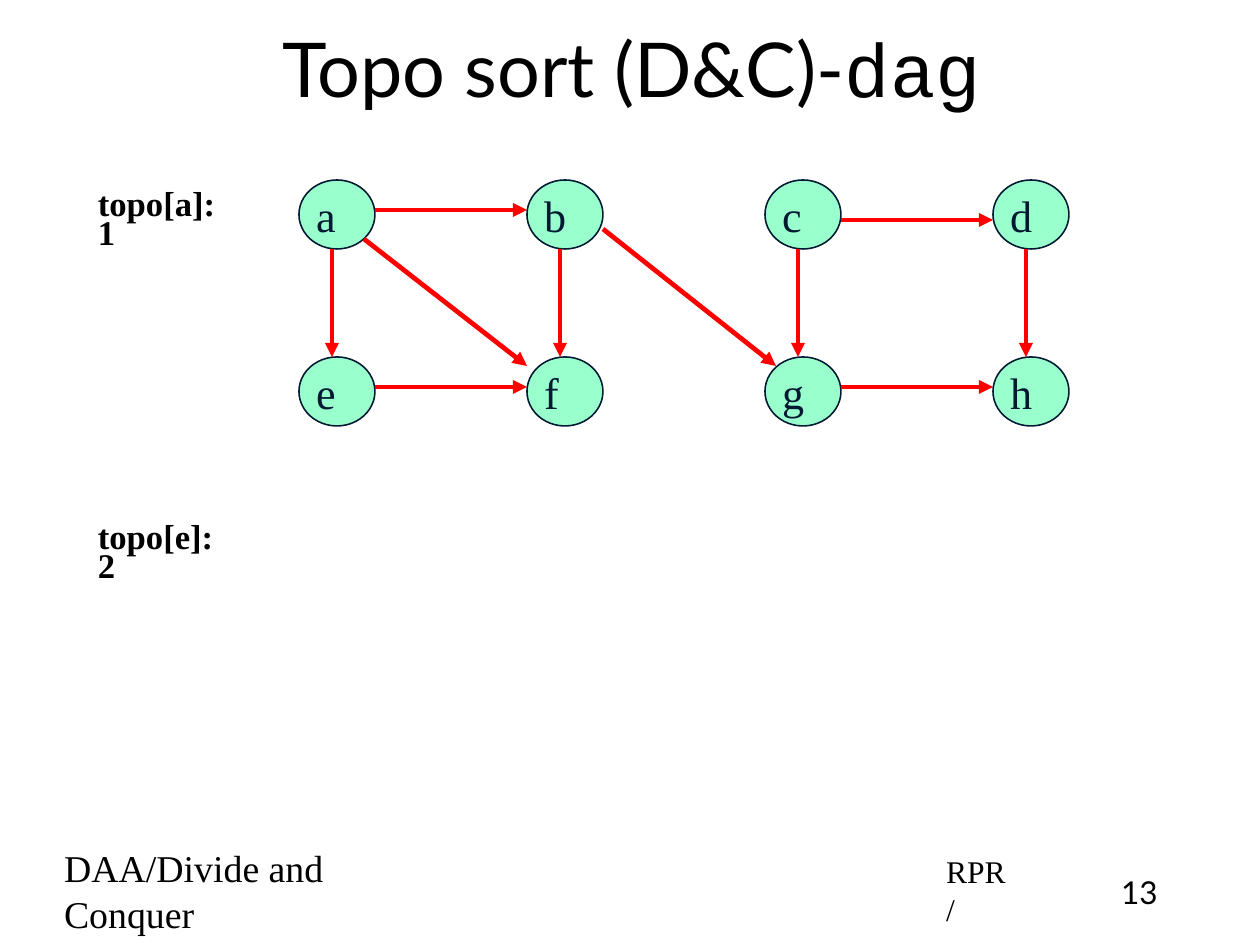
from pptx import Presentation
from pptx.dml.color import RGBColor
from pptx.enum.shapes import MSO_CONNECTOR, MSO_SHAPE
from pptx.enum.text import MSO_ANCHOR, PP_ALIGN
from pptx.oxml.ns import qn
from pptx.util import Pt
from lxml import etree

SCALE = 914400 / 113.4
BLACK = RGBColor(0x00, 0x00, 0x00)
NAVY = RGBColor(0x00, 0x19, 0x32)
MINT = RGBColor(0x99, 0xFF, 0xCC)
RED = RGBColor(0xFF, 0x00, 0x00)
SERIF = "Times New Roman"


def px(*lengths):
    return [round(length * SCALE) for length in lengths]


def set_text(shape, text, font, size, color=BLACK, inset=7, indent=0,
             anchor=MSO_ANCHOR.MIDDLE, align=PP_ALIGN.LEFT):
    frame = shape.text_frame
    frame.text = text
    frame.word_wrap = True
    frame.vertical_anchor = anchor
    frame.margin_left, frame.margin_top, frame.margin_right, frame.margin_bottom = px(*[inset] * 4)
    para = frame.paragraphs[0]
    para.alignment = align
    if indent:
        para._p.get_or_add_pPr().set("marL", str(px(indent)[0]))
    span = para.runs[0]
    span.font.name = font
    span.font.size = Pt(size)
    span.font.color.rgb = color
    return para


deck = Presentation()
deck.slide_width, deck.slide_height = px(1260, 945)
page = deck.slides.add_slide(deck.slide_layouts[5])

# Title, with its last word in a monospaced font
title = page.shapes.title
title.left, title.top, title.width, title.height = px(94, 8, 1070, 118)
heading = set_text(title, "Topo sort (D&C)-", "Lato", 48, indent=5, align=PP_ALIGN.CENTER)
dag = heading.add_run()
dag.text = "dag"
dag.font.name = "Courier New"
dag.font.size = Pt(48)
dag.font.color.rgb = BLACK

# Footer
footer = page.shapes.add_textbox(*px(52, 864, 400, 53))
set_text(footer, "DAA/Divide and Conquer", SERIF, 24, indent=5)
author = page.shapes.add_textbox(*px(934, 866, 84, 48))
set_text(author, "RPR/", SERIF, 20, indent=5)
number = page.shapes.add_textbox(*px(1102, 866, 75, 48))
set_text(number, "13", "Lato", 20, anchor=MSO_ANCHOR.TOP, align=PP_ALIGN.CENTER)

# Graph nodes
NODE_WIDTH, NODE_HEIGHT = 76, 69
COLUMNS = [299, 527, 765, 993]
ROWS = [180, 357]
nodes = {}
for row, letters in zip(ROWS, ["abcd", "efgh"]):
    for column, letter in zip(COLUMNS, letters):
        nodes[letter] = (column, row)
        node = page.shapes.add_shape(MSO_SHAPE.OVAL, *px(column, row, NODE_WIDTH, NODE_HEIGHT))
        node.shadow.inherit = False
        node.fill.solid()
        node.fill.fore_color.rgb = MINT
        node.line.color.rgb = NAVY
        node.line.width = Pt(1)
        set_text(node, letter, SERIF, 28, NAVY, inset=6)

# Graph edges: downward, rightward and diagonal
edges = [(364, 239, 527, 366), (603, 229, 776, 366)]
for start, end in ["ae", "bf", "cg", "dh"]:
    x = nodes[start][0] + 33
    edges.append((x, nodes[start][1] + NODE_HEIGHT, x, nodes[end][1]))
for start, end, drop in [("a", "b", 30), ("e", "f", 30), ("c", "d", 40), ("g", "h", 30)]:
    y = nodes[start][1] + drop
    edges.append((nodes[start][0] + NODE_WIDTH, y, nodes[end][0], y))

for edge in edges:
    arrow = page.shapes.add_connector(MSO_CONNECTOR.STRAIGHT, *px(*edge))
    arrow.line.color.rgb = RED
    arrow.line.width = Pt(3)
    etree.SubElement(arrow.line._get_or_add_ln(), qn("a:tailEnd"), type="triangle")
    etree.SubElement(arrow._element.spPr, qn("a:effectLst"))

# Topological order
for text, top in [("topo[a]:1", 196), ("topo[e]:2", 529)]:
    order = page.shapes.add_textbox(*px(86, top, 145, 52))
    para = set_text(order, text, SERIF, 22, indent=5)
    para.line_spacing = 0.7
    para.runs[0].font.bold = True

deck.save("out.pptx")
